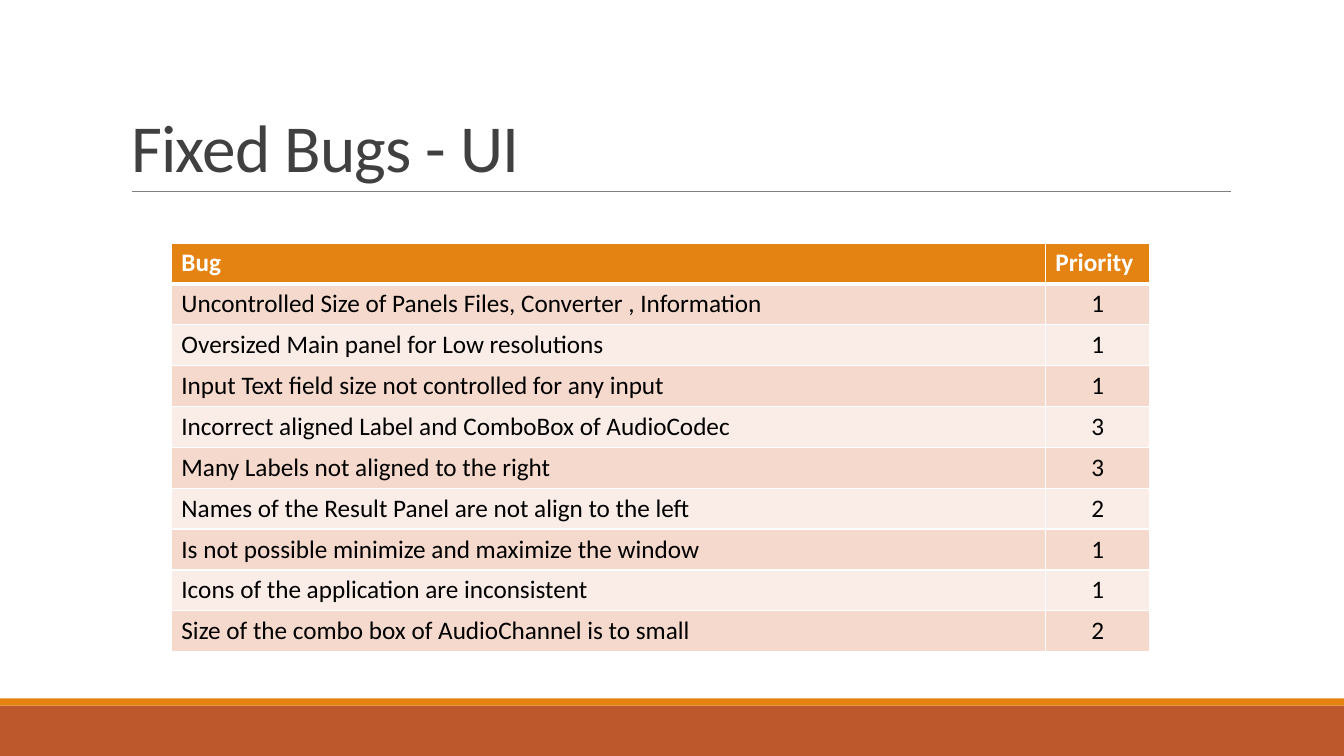
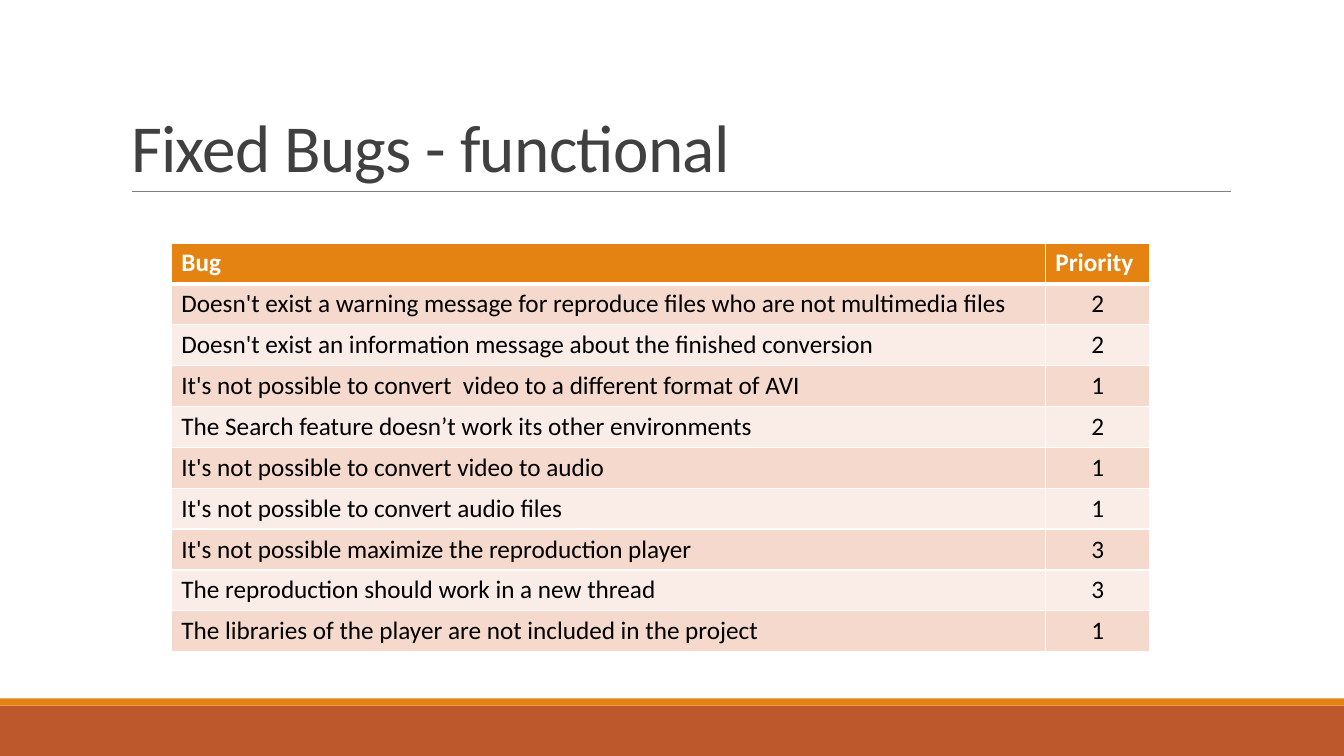
from dataclasses import dataclass

from lxml.etree import SubElement
from pptx import Presentation
from pptx.dml.color import RGBColor
from pptx.enum.shapes import MSO_CONNECTOR, MSO_SHAPE
from pptx.enum.text import MSO_ANCHOR, MSO_AUTO_SIZE, PP_ALIGN
from pptx.oxml.ns import qn
from pptx.util import Inches, Pt


@dataclass(frozen=True)
class Theme:
    font: str = "Calibri"
    title_size: int = 48
    table_size: int = 18
    title_color: str = "404040"
    rule_color: str = "808080"
    accent: str = "E48312"
    footer: str = "BD582C"
    header_text: str = "FFFFFF"
    body_text: str = "000000"
    border: str = "FFFFFF"
    row_fills: tuple = ("F5D9CC", "FAEDE7")
    border_width: int = 1
    header_border_width: int = 3


class BugDeck:
    """Holds the style and the current page; lengths are grid columns and rows."""

    COLUMNS, ROWS = 40, 30
    TITLE_ONLY = 5

    def __init__(self, theme):
        self.theme = theme
        self.deck = Presentation()
        self.deck.slide_width = Inches(13.33)
        self.deck.slide_height = Inches(7.5)
        self.page = None

    def across(self, columns):
        return round(self.deck.slide_width * columns / self.COLUMNS)

    def down(self, rows):
        return round(self.deck.slide_height * rows / self.ROWS)

    def frame(self, left, top, width, height):
        return self.across(left), self.down(top), self.across(width), self.down(height)

    def style_font(self, font, size, color, bold=False):
        values = {"name": self.theme.font, "size": Pt(size), "bold": bold}
        for name, value in values.items():
            setattr(font, name, value)
        font.color.rgb = RGBColor.from_string(color)

    def add_page(self, title):
        layout = self.deck.slide_layouts[self.TITLE_ONLY]
        self.page = self.deck.slides.add_slide(layout)
        self.add_band(28, 2, self.theme.footer)
        self.add_band(27.72, 0.28, self.theme.accent)
        self.add_rule(3.93, 36.63, 7.6)
        self.add_title(title)

    def add_band(self, top, height, color):
        band = self.page.shapes.add_shape(
            MSO_SHAPE.RECTANGLE, *self.frame(0, top, self.COLUMNS, height))
        band.shadow.inherit = False
        band.fill.solid()
        band.fill.fore_color.rgb = RGBColor.from_string(color)
        band.line.fill.background()

    def add_rule(self, start, end, row):
        rule = self.page.shapes.add_connector(
            MSO_CONNECTOR.STRAIGHT, self.across(start), self.down(row),
            self.across(end), self.down(row))
        rule.line.color.rgb = RGBColor.from_string(self.theme.rule_color)
        rule.line.width = Pt(0.5)
        SubElement(rule.line._get_or_add_ln().getparent(), qn("a:effectLst"))

    def add_title(self, text):
        box = self.page.shapes.title
        box.left, box.top, box.width, box.height = self.frame(3.6, 1.24, 33, 6.36)
        frame_values = {"vertical_anchor": MSO_ANCHOR.BOTTOM, "word_wrap": True,
                        "auto_size": MSO_AUTO_SIZE.NONE}
        for name, value in frame_values.items():
            setattr(box.text_frame, name, value)
        para = box.text_frame.paragraphs[0]
        para.alignment = PP_ALIGN.LEFT
        para.line_spacing = 0.85
        span = para.add_run()
        span.text = text
        self.style_font(span.font, self.theme.title_size, self.theme.title_color)
        span.font._element.set("spc", "-50")

    def add_table(self, header, bugs):
        records = [header, *bugs]
        widths = (26.01, 3.12)
        row_height = 1.62
        table = self.page.shapes.add_table(
            len(records), len(widths),
            *self.frame(5.1, 9.64, sum(widths), row_height * len(records))).table
        table.horz_banding = False
        for column, width in zip(table.columns, widths):
            column.width = self.across(width)
        for row_index, record in enumerate(records):
            table.rows[row_index].height = self.down(row_height)
            for column_index, value in enumerate(record):
                self.fill_cell(table.cell(row_index, column_index),
                               str(value), row_index, column_index)

    def fill_cell(self, cell, text, row, column):
        theme = self.theme
        is_header = row == 0
        self.add_borders(cell, row)
        cell.fill.solid()
        fill = theme.accent if is_header else theme.row_fills[(row - 1) % 2]
        cell.fill.fore_color.rgb = RGBColor.from_string(fill)
        para = cell.text_frame.paragraphs[0]
        centered = column == 1 and not is_header
        para.alignment = PP_ALIGN.CENTER if centered else PP_ALIGN.LEFT
        span = para.add_run()
        span.text = text
        color = theme.header_text if is_header else theme.body_text
        self.style_font(span.font, theme.table_size, color, is_header)

    def add_borders(self, cell, row):
        # The heavy line lies between the header and the first bug
        heavy_side = {0: "lnB", 1: "lnT"}.get(row)
        properties = cell._tc.get_or_add_tcPr()
        for side in ("lnL", "lnR", "lnT", "lnB"):
            heavy = side == heavy_side
            width = self.theme.header_border_width if heavy else self.theme.border_width
            line = SubElement(properties, qn(f"a:{side}"), w=str(Pt(width)))
            fill = SubElement(line, qn("a:solidFill"))
            SubElement(fill, qn("a:srgbClr"), val=self.theme.border)


HEADER = ("Bug", "Priority")

# Page titles with their bugs and priorities
PAGES = {
    "Fixed Bugs - UI": [
        ("Uncontrolled Size of Panels Files, Converter , Information", 1),
        ("Oversized Main panel for Low resolutions", 1),
        ("Input Text field size not controlled for any input", 1),
        ("Incorrect aligned Label and ComboBox of AudioCodec", 3),
        ("Many Labels not aligned to the right", 3),
        ("Names of the Result Panel are not align to the left", 2),
        ("Is not possible minimize and maximize the window", 1),
        ("Icons of the application are inconsistent", 1),
        ("Size of the combo box of AudioChannel is to small", 2),
    ],
    "Fixed Bugs - functional": [
        ("Doesn't exist a warning message for reproduce files who are not multimedia files", 2),
        ("Doesn't exist an information message about the finished conversion", 2),
        ("It's not possible to convert  video to a different format of AVI", 1),
        ("The Search feature doesn’t work its other environments", 2),
        ("It's not possible to convert video to audio", 1),
        ("It's not possible to convert audio files", 1),
        ("It's not possible maximize the reproduction player", 3),
        ("The reproduction should work in a new thread", 3),
        ("The libraries of the player are not included in the project", 1),
    ],
}


def main():
    builder = BugDeck(Theme())
    for title, bugs in PAGES.items():
        builder.add_page(title)
        builder.add_table(HEADER, bugs)
    builder.deck.save("out.pptx")


if __name__ == "__main__":
    main()
